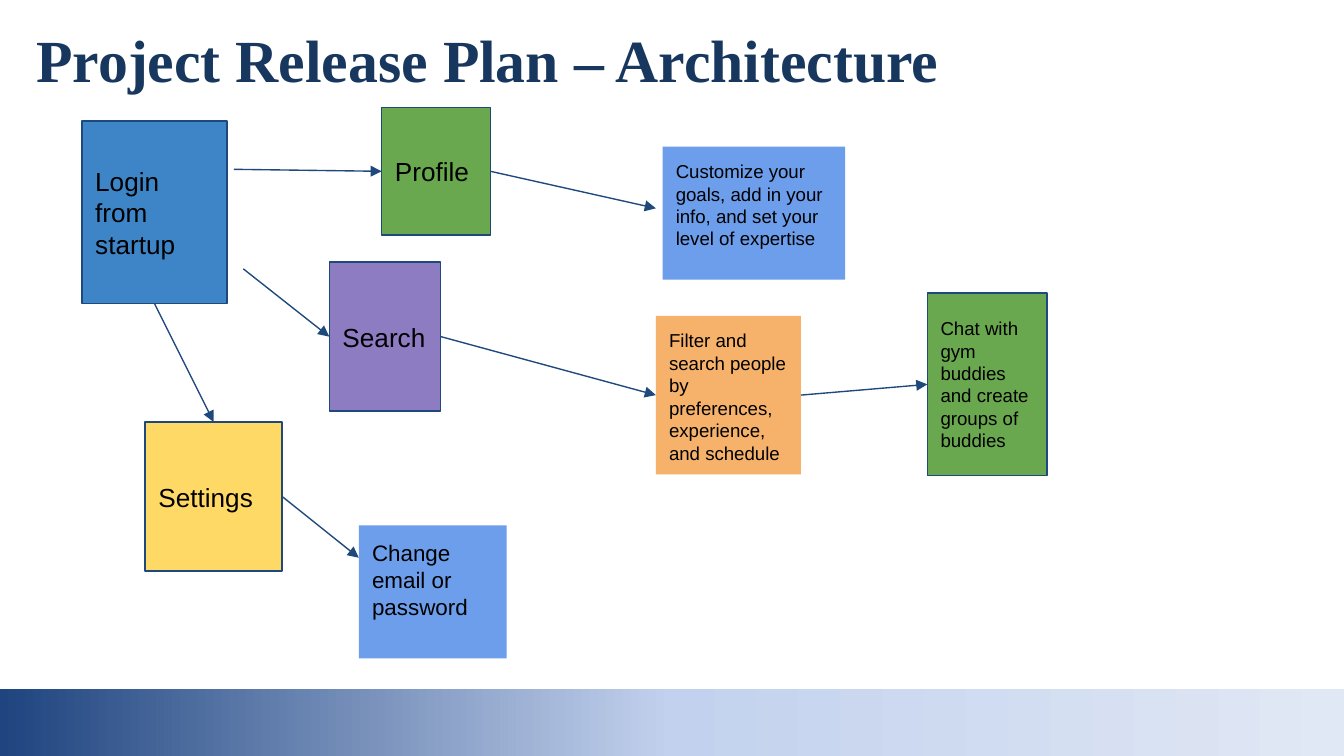
from copy import deepcopy

from lxml import etree
from pptx import Presentation
from pptx import util as u
from pptx.dml.color import RGBColor
from pptx.enum import shapes, text
from pptx.oxml.ns import qn

WIDTH = 10
HEIGHT = WIDTH * 9 / 16
BAND_HEIGHT = 0.5
COLOURS = {
    "title": "17375E", "line": "1F497D", "text": "000000",
    "blue": "3D85C6", "green": "6AA84F", "purple": "8E7CC3",
    "yellow": "FFD966", "sky": "6D9EEB", "orange": "F6B26B",
    "band_start": "1F447F", "band_middle": "C2D1ED", "band_end": "E1E8F5",
}
SIDES = {"top": 0, "left": 1, "bottom": 2, "right": 3}

SCREENS = {
    "login": ("Login from startup", (0.61, 0.9, 1.08, 1.36), "blue", 14),
    "profile": ("Profile", (2.84, 0.8, 0.81, 0.95), "green", 14),
    "search": ("Search", (2.45, 1.95, 0.83, 1.11), "purple", 14),
    "settings": ("Settings", (1.08, 3.14, 1.02, 1.11), "yellow", 14),
    "chat": ("Chat with gym buddies and create groups of buddies",
             (6.9, 2.18, 0.89, 1.36), "green", 10),
}
DETAILS = {
    "customize": ("Customize your goals, add in your info, and set your level of expertise",
                  (4.93, 1.09, 1.36, 0.99), "sky", 10),
    "filter": ("Filter and search people by preferences, experience, and schedule",
               (4.88, 2.35, 1.08, 1.18), "orange", 10),
    "change": ("Change email or password", (2.67, 3.91, 1.1, 0.99), "sky", 12),
}
ARROWS = [
    (("profile", "right"), (4.88, 1.55)),
    ((1.74, 1.26), ("profile", "left")),
    ((1.81, 2), ("search", "left")),
    (("login", "bottom"), ("settings", "top")),
    (("search", "right"), ("filter", "left")),
    (("filter", "right"), ("chat", "left")),
    (("settings", "right"), (2.67, 4.15)),
]


def colour(name):
    """Return the named colour."""
    return RGBColor.from_string(COLOURS[name])


def write(shape, words, *, size, font="Arial", ink="text", bold=False,
          anchor=text.MSO_ANCHOR.TOP, inset=0.1):
    """Put formatted left-aligned text into a shape."""
    frame = shape.text_frame
    frame.word_wrap = True
    frame.auto_size = text.MSO_AUTO_SIZE.NONE
    frame.vertical_anchor = anchor
    frame.margin_left = frame.margin_right = u.Inches(0.1)
    frame.margin_top = frame.margin_bottom = u.Inches(inset)
    para = frame.paragraphs[0]
    para.alignment = text.PP_ALIGN.LEFT
    span = para.add_run()
    span.text = words
    span.font.name, span.font.size, span.font.bold = font, u.Pt(size), bold
    span.font.color.rgb = colour(ink)


def add_title(page, words):
    """Place and format the title."""
    title = page.shapes.title
    title.left, title.top, title.width, title.height = map(
        u.Inches, (0.17, 0.12, 7.31, 0.48))
    write(title, words, size=32, font="Times New Roman", ink="title",
          bold=True, inset=0.05)


def add_box(page, place):
    """Add a rectangle without shadow."""
    box = page.shapes.add_shape(
        shapes.MSO_SHAPE.RECTANGLE, *map(u.Inches, place))
    box.shadow.inherit = False
    return box


def add_band(page):
    """Add the gradient band along the bottom."""
    band = add_box(page, (0, HEIGHT - BAND_HEIGHT, WIDTH, BAND_HEIGHT))
    band.line.fill.background()
    band.fill.gradient()
    band.fill.gradient_angle = 0
    first = band.fill._xPr.find(".//" + qn("a:gs"))
    first.addnext(deepcopy(first))
    names = ("band_start", "band_middle", "band_end")
    for stop, name, position in zip(band.fill.gradient_stops, names, (0, 0.5, 1)):
        stop.color.rgb = colour(name)
        stop.position = position


def add_node(page, words, place, fill, size, outlined):
    """Add a box of the flow, outlined for a screen and plain for a detail."""
    box = add_box(page, place)
    box.fill.solid()
    box.fill.fore_color.rgb = colour(fill)
    if outlined:
        box.line.color.rgb = colour("line")
        box.line.width = u.Pt(0.75)
    else:
        box.line.fill.background()
    anchor = text.MSO_ANCHOR.MIDDLE if outlined else text.MSO_ANCHOR.TOP
    write(box, words, size=size, anchor=anchor)
    return box


def add_arrow(page, nodes, start, end):
    """Add an arrow whose ends are points or sides of nodes."""
    points = [(0, 0) if target[0] in nodes else target
              for target in (start, end)]
    arrow = page.shapes.add_connector(
        shapes.MSO_CONNECTOR.STRAIGHT,
        *(u.Inches(value) for point in points for value in point))
    for target, connect in ((start, arrow.begin_connect), (end, arrow.end_connect)):
        if target[0] in nodes:
            connect(nodes[target[0]], SIDES[target[1]])
    arrow.line.color.rgb = colour("line")
    arrow.line.width = u.Pt(0.75)
    etree.SubElement(arrow.line._get_or_add_ln(), qn("a:tailEnd"), type="triangle")
    etree.SubElement(arrow._element.spPr, qn("a:effectLst"))


def main():
    """Build the architecture slide."""
    deck = Presentation()
    deck.slide_width, deck.slide_height = u.Inches(WIDTH), u.Inches(HEIGHT)
    page = deck.slides.add_slide(deck.slide_layouts[5])
    add_title(page, "Project Release Plan – Architecture")
    add_band(page)
    nodes = {}
    for group, outlined in ((SCREENS, True), (DETAILS, False)):
        for name, node in group.items():
            nodes[name] = add_node(page, *node, outlined)
    for start, end in ARROWS:
        add_arrow(page, nodes, start, end)
    deck.save("out.pptx")


main()
